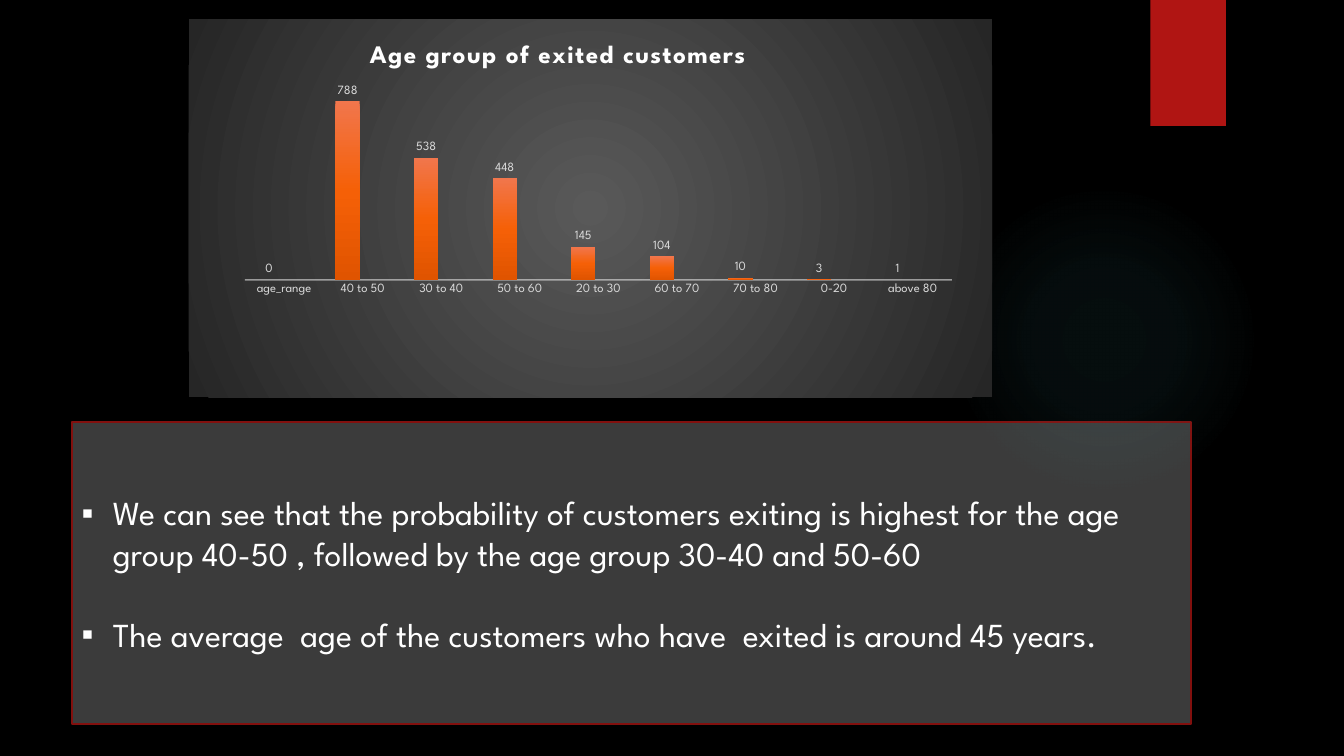
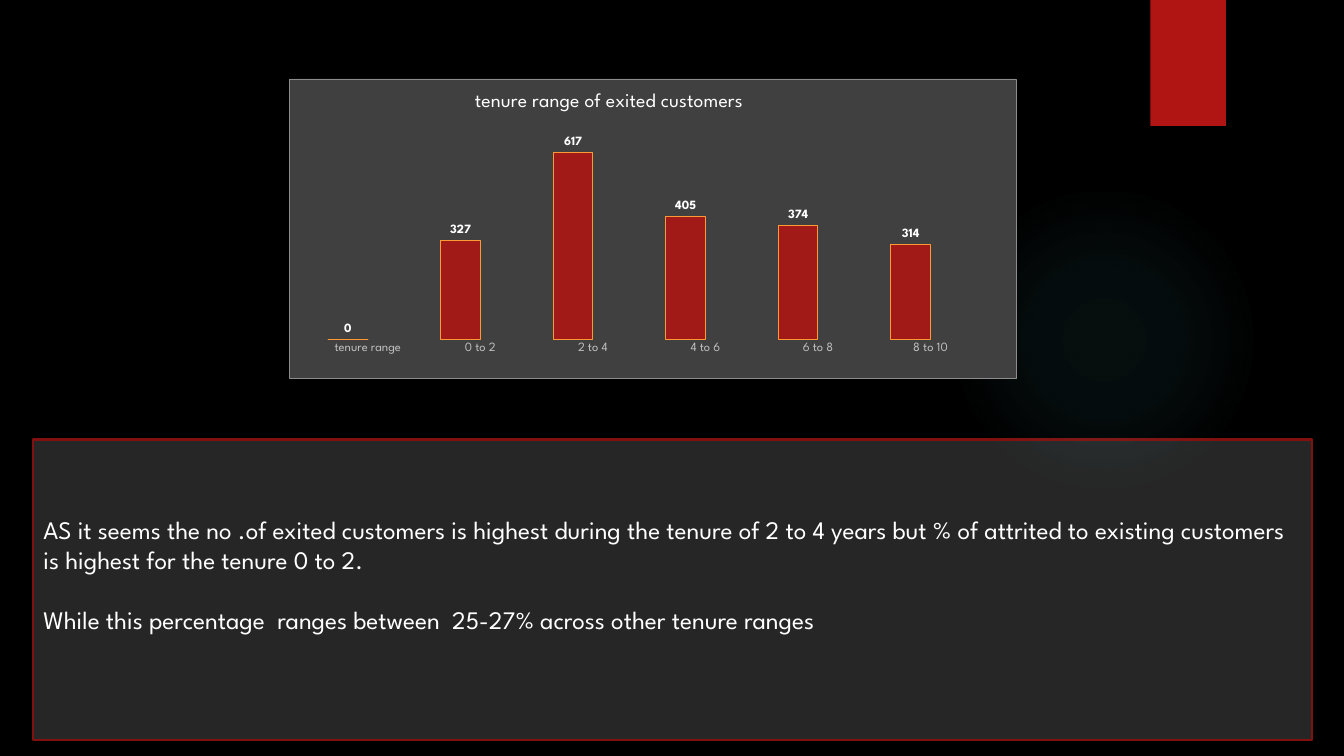
from lxml import etree
from pptx import Presentation
from pptx import util as u
from pptx.chart.data import CategoryChartData
from pptx.dml.color import RGBColor
from pptx.enum import chart as ch, shapes, text
from pptx.oxml import parse_xml
from pptx.oxml.ns import nsdecls, qn

PX = 9144
FONT = "League Spartan"
BLACK = RGBColor(0x00, 0x00, 0x00)
WHITE = RGBColor(0xFF, 0xFF, 0xFF)
TEAL = RGBColor(0x50, 0xB9, 0xC1)
RED = RGBColor(0xB0, 0x15, 0x13)
DARK_RED = RGBColor(0x82, 0x10, 0x0E)
AMBER = RGBColor(0xFF, 0x99, 0x33)
BROWN = RGBColor(0x75, 0x32, 0x09)
CORAL = RGBColor(0xF1, 0x76, 0x4C)
ORANGE = RGBColor(0xF5, 0x60, 0x07)
RUST = RGBColor(0xE0, 0x54, 0x00)
TANGERINE = RGBColor(0xEA, 0x63, 0x12)
MINT = RGBColor(0x7C, 0xB5, 0x9C)
GREEN = RGBColor(0x67, 0xAF, 0x91)
FOREST = RGBColor(0x58, 0x9F, 0x81)
CHARCOAL = RGBColor(0x26, 0x26, 0x26)
SLATE = RGBColor(0x3B, 0x3B, 0x3B)
GRAPHITE = RGBColor(0x40, 0x40, 0x40)
STEEL = RGBColor(0x59, 0x59, 0x59)
ASH = RGBColor(0x8C, 0x8C, 0x8C)
SILVER = RGBColor(0xBF, 0xBF, 0xBF)
PALE = RGBColor(0xD9, 0xD9, 0xD9)
MIST = RGBColor(0xF2, 0xF2, 0xF2)


def px(*lengths):
    return [u.Emu(length * PX) for length in lengths]


def dress(target, **values):
    for name, value in values.items():
        if name == "rgb":
            target.color.rgb = value
        else:
            setattr(target, name, value)


def outline(line, rgb, points):
    line.color.rgb = rgb
    line.width = u.Pt(points)


def paint(holder, stops, radial=False):
    def colour(rgb, alpha):
        return f'<a:srgbClr val="{rgb}"><a:alpha val="{alpha * 1000}"/></a:srgbClr>'

    if len(stops) == 1:
        kind, body = "solidFill", colour(*stops[0][1:])
    else:
        kind = "gradFill"
        marks = "".join(f'<a:gs pos="{at * 1000}">{colour(rgb, alpha)}</a:gs>'
                        for at, rgb, alpha in stops)
        direction = ('<a:path path="circle"><a:fillToRect l="50000" t="50000" '
                     'r="50000" b="50000"/></a:path>' if radial
                     else '<a:lin ang="5400000" scaled="0"/>')
        body = f"<a:gsLst>{marks}</a:gsLst>{direction}"
    fill = parse_xml(f'<a:{kind} {nsdecls("a")}>{body}</a:{kind}>')
    holder.replace(holder.find(qn("a:noFill")), fill)


def place(parent, index, **fractions):
    previous = parent.find(qn("c:layout"))
    if previous is not None:
        parent.remove(previous)
    layout = etree.Element(qn("c:layout"))
    manual = etree.SubElement(layout, qn("c:manualLayout"))
    settings = {"xMode": "edge", "yMode": "edge", **fractions}
    if "w" in fractions:
        settings = {"layoutTarget": "inner", **settings}
    for name, value in settings.items():
        etree.SubElement(manual, qn(f"c:{name}")).set("val", str(value))
    parent.insert(index, layout)


class Deck:
    """Holds the deck's style and its current slide."""

    def __init__(self):
        self.prs = Presentation()
        self.prs.slide_width, self.prs.slide_height = px(1333, 750)
        background = self.prs.slide_master.background.fill
        background.solid()
        background.fore_color.rgb = BLACK

    def new_slide(self):
        self.slide = self.prs.slides.add_slide(self.prs.slide_layouts[1])
        title = self.slide.shapes.title.element
        title.getparent().remove(title)
        self.decoration(shapes.MSO_SHAPE.OVAL, (941, 183, 308, 308),
                        [(0, TEAL, 7), (36, TEAL, 6), (69, TEAL, 0)])
        self.decoration(shapes.MSO_SHAPE.RECTANGLE, (1141, 0, 75, 125), [(0, RED, 100)])

    def decoration(self, preset, box, stops):
        shape = self.slide.shapes.add_shape(preset, *px(*box))
        shape.shadow.inherit = False
        shape.line.fill.background()
        shape.fill.background()
        paint(shape.element.spPr, stops, radial=True)

    def findings(self, box, lines, fill, size, gap, bullet=None, bottom=5):
        panel = self.slide.placeholders[1]
        dress(panel, **dict(zip(("left", "top", "width", "height"), px(*box))))
        panel.fill.solid()
        panel.fill.fore_color.rgb = fill
        outline(panel.line, DARK_RED, 1.5)
        frame = panel.text_frame
        dress(frame, word_wrap=True, auto_size=text.MSO_AUTO_SIZE.NONE,
              vertical_anchor=text.MSO_ANCHOR.MIDDLE, margin_bottom=px(bottom)[0])
        indent = px(31)[0] if bullet else 0
        for number, line in enumerate(lines):
            paragraph = frame.add_paragraph() if number else frame.paragraphs[0]
            dress(paragraph, text=line, alignment=text.PP_ALIGN.LEFT,
                  space_before=u.Pt(gap if number else 0))
            dress(paragraph.runs[0].font, name=FONT, size=u.Pt(size), rgb=WHITE)
            properties = paragraph._p.get_or_add_pPr()
            properties.set("marL", str(indent))
            properties.set("indent", str(-indent))
            if bullet:
                etree.SubElement(properties, qn("a:buChar")).set("char", bullet)
            else:
                etree.SubElement(properties, qn("a:buNone"))

    def columns(self, box, heading, heading_style, heading_at, counts, plot_area,
                series_stops, backdrop, maximum, gap, overlap=0, tick_rgb=PALE,
                label_style=None, spacing=0, axis_line=None, borders=None,
                frame_rgb=None):
        data = CategoryChartData()
        data.categories = list(counts)
        data.add_series("Series 1", list(counts.values()))
        data.add_series("Series 2", [None] * len(counts))
        chart = self.slide.shapes.add_chart(
            ch.XL_CHART_TYPE.COLUMN_CLUSTERED, *px(*box), data).chart
        dress(chart.font, name=FONT, size=u.Pt(10), rgb=WHITE)
        chart.has_legend = False
        space = chart.element

        chart.has_title = True
        title = chart.chart_title.text_frame
        title.text = heading
        dress(title.paragraphs[0].runs[0].font, name=FONT, rgb=WHITE, **heading_style)
        space.find(f".//{qn('c:title')}//{qn('a:rPr')}").set("spc", str(spacing))
        place(space.find(f".//{qn('c:title')}"), 1, **heading_at)
        place(space.find(f".//{qn('c:plotArea')}"), 0, **plot_area)

        dress(chart.value_axis, visible=False, has_major_gridlines=False,
              minimum_scale=0, maximum_scale=maximum)
        ages = chart.category_axis
        dress(ages, major_tick_mark=ch.XL_TICK_MARK.NONE, has_major_gridlines=False)
        dress(ages.tick_labels.font, name=FONT, size=u.Pt(9), rgb=tick_rgb)
        ages.format.line.fill.background()
        if axis_line:
            ages.format.line.width = u.Pt(1)
            paint(space.find(f".//{qn('c:catAx')}/{qn('c:spPr')}/{qn('a:ln')}"), axis_line)

        plot = chart.plots[0]
        dress(plot, gap_width=gap, overlap=overlap, vary_by_categories=False)
        for number, series in enumerate(plot.series):
            series.format.fill.background()
            paint(series.format.fill._xPr, series_stops[number])
            if borders:
                outline(series.format.line, borders[number], 0.75)
            labels = series.data_labels
            dress(labels, show_value=True, position=ch.XL_LABEL_POSITION.OUTSIDE_END)
            dress(labels.font, name=FONT, size=u.Pt(9), **label_style)

        surface = parse_xml(f'<c:spPr {nsdecls("c", "a")}><a:noFill/>'
                            '<a:ln w="6350"><a:noFill/></a:ln></c:spPr>')
        space.find(qn("c:chart")).addnext(surface)
        paint(surface, backdrop, radial=True)
        if frame_rgb:
            paint(surface.find(qn("a:ln")), [(0, frame_rgb, 100)])


def main():
    deck = Deck()

    deck.new_slide()
    deck.columns(
        (187, 19, 797, 375), "Age group of exited customers",
        {"size": u.Pt(18), "bold": True}, {"x": 0.22, "y": 0.05},
        {"age_range": 0, "40 to 50": 788, "30 to 40": 538, "50 to 60": 448,
         "20 to 30": 145, "60 to 70": 104, "70 to 80": 10, "0-20": 3, "above 80": 1},
        {"x": 0.07, "y": 0.15, "w": 0.88, "h": 0.54},
        [[(0, CORAL, 100), (50, ORANGE, 100), (100, RUST, 100)],
         [(0, MINT, 100), (50, GREEN, 100), (100, FOREST, 100)]],
        [(0, STEEL, 100), (100, CHARCOAL, 100)], maximum=900, gap=100, overlap=-24,
        label_style={"rgb": PALE, "bold": False}, spacing=100,
        axis_line=[(0, MIST, 54)])
    deck.findings(
        (71, 419, 1110, 299),
        ["We can see that the probability of customers exiting is highest for the age "
         "group 40-50 , followed by the age group 30-40 and 50-60",
         "The average  age of the customers who have  exited is around 45 years."],
        SLATE, size=24, gap=29, bullet="▪")

    deck.new_slide()
    deck.columns(
        (287, 78, 721, 298), "tenure range of exited customers",
        {"size": u.Pt(14), "bold": False}, {"x": 0.25, "y": 0.03},
        {"tenure range": 0, "0 to 2": 327, "2 to 4": 617, "4 to 6": 405,
         "6 to 8": 374, "8 to 10": 314},
        {"x": 0.03, "y": 0.16, "w": 0.93, "h": 0.71},
        [[(0, RED, 88)], [(0, TANGERINE, 88)]],
        [(0, GRAPHITE, 100)], maximum=700, gap=84, tick_rgb=SILVER,
        label_style={"rgb": WHITE, "bold": True}, borders=[AMBER, BROWN],
        frame_rgb=ASH)
    deck.findings(
        (33, 436, 1268, 298),
        ["AS it seems the no .of exited customers is highest during the tenure of 2 to 4 "
         "years but % of attrited to existing customers is highest for the tenure 0 to 2.",
         "While this percentage  ranges between  25-27% across other tenure ranges"],
        CHARCOAL, size=18, gap=21.5, bottom=35)

    deck.prs.save("out.pptx")


if __name__ == "__main__":
    main()
